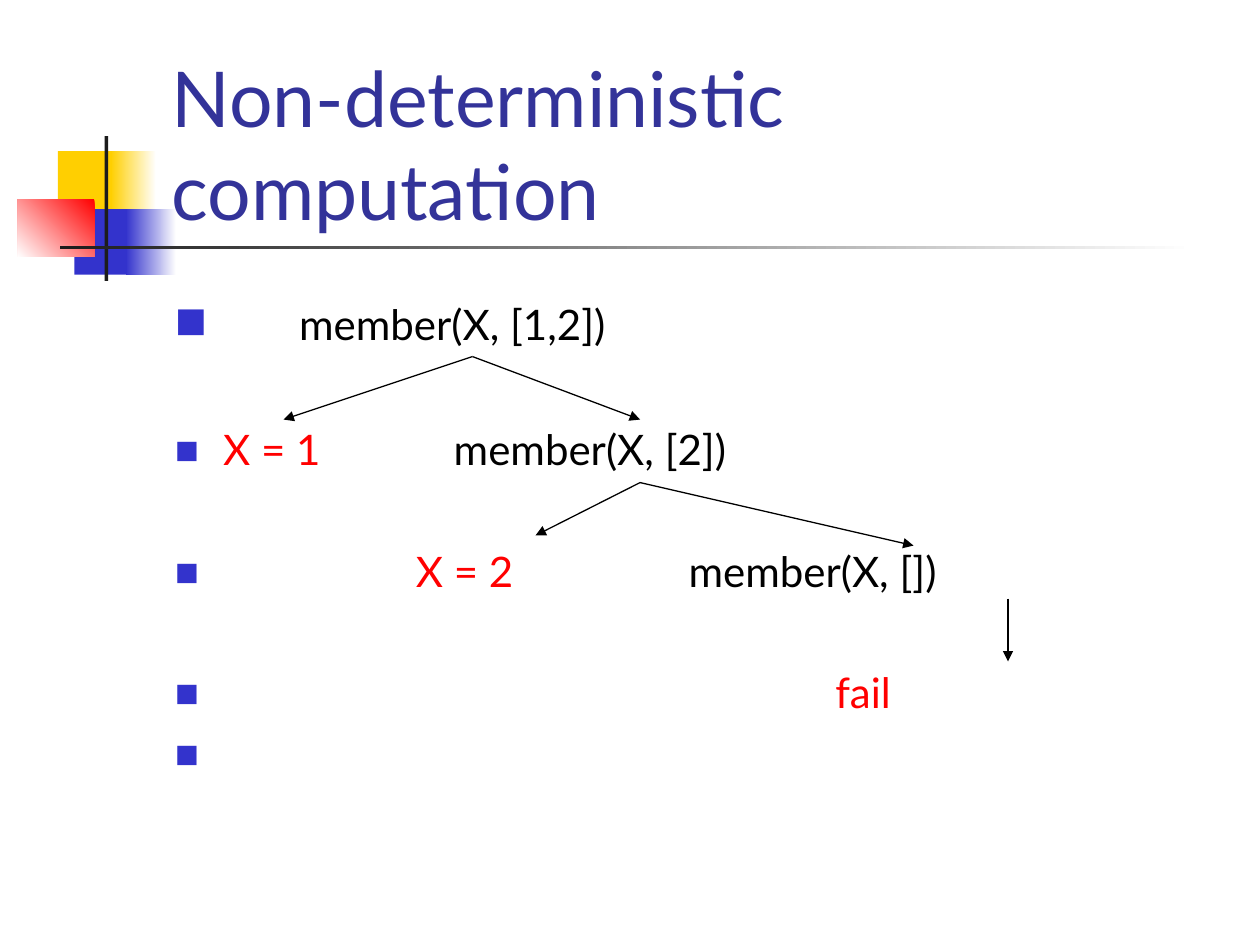
"""Builds a slide showing the search tree of a non-deterministic member query."""
from lxml import etree
from pptx import Presentation
from pptx import util as u
from pptx.dml.color import RGBColor
from pptx.enum import shapes, text
from pptx.oxml import ns

HUES = {"gold": "FFCF01", "blue": "3333CC", "red": "FF0000", "white": "FFFFFF",
        "dark": "1C1C1C", "navy": "333399", "black": "000000"}
FONT = "Lato"
TITLE = "Non-deterministic computation"

DECOR = [
    ((0.46, 1.2, 0.48, 0.52), ["gold"], 0),
    ((0.88, 1.2, 0.36, 0.52), ["white", "gold"], 180),
    ((0.59, 1.66, 0.46, 0.52), ["blue"], 0),
    ((1, 1.66, 0.4, 0.52), ["white", "blue"], 180),
    ((0.14, 1.58, 0.61, 0.46), ["red", "white"], 135),
    ((0.83, 1.08, 0.03, 1.15), ["dark"], 0),
    ((0.48, 1.95, 9, 0.03), ["white", "dark"], 180),
]

SIZE, PAD = 24, 6
SKIP = PAD + 1.2 * SIZE + PAD
ROWS = [
    (0.87, PAD, [(" ", "black", 32, 0), ("member(X, [1,2])", "black", SIZE, 0)]),
    (0.38, SKIP, [("X = 1", "red", SIZE, 0), (" ", "black", SIZE, 70),
                  ("member(X, [2])", "black", SIZE, 0)]),
    (1.91, SKIP, [("X = 2", "red", SIZE, 0), (" ", "black", SIZE, 94),
                  ("member(X, [])", "black", SIZE, 0)]),
    (5.24, SKIP, [("fail", "red", SIZE, 0)]),
    (0.38, PAD, [(" ", "black", SIZE, 0)]),
]

TREE = [
    ((3.75, 2.83), [(2.25, 3.33), (5.08, 3.33)]),
    ((5.08, 3.83), [(4.25, 4.25), (7.25, 4.33)]),
    ((8, 4.75), [(8, 5.25)]),
]


def hue(name):
    return RGBColor.from_string(HUES[name])


def add(node, tag, **vals):
    return etree.SubElement(node, ns.qn(tag), vals)


def place(shape, box):
    for key, val in zip(("left", "top", "width", "height"), box):
        setattr(shape, key, u.Inches(val))


def style(font, size, name):
    for key, val in {"name": FONT, "size": u.Pt(size)}.items():
        setattr(font, key, val)
    font.color.rgb = hue(name)


def decorate(slide):
    for spot, (box, tones, turn) in enumerate(DECOR, 2):
        shape = slide.shapes.add_shape(shapes.MSO_SHAPE.RECTANGLE, *map(u.Inches, box))
        shape.shadow.inherit = False
        shape.line.fill.background()
        if len(tones) == 1:
            shape.fill.solid()
            shape.fill.fore_color.rgb = hue(tones[0])
        else:
            shape.fill.gradient()
            shape.fill.gradient_angle = 360 - turn
            for stop, tone, pos in zip(shape.fill.gradient_stops, tones, (0, 1)):
                stop.color.rgb = hue(tone)
                stop.position = pos
        slide.shapes._spTree.insert(spot, shape._element)


def head(slide):
    title = slide.shapes.title
    place(title, (1.26, 0.67, 8.52, 1.25))
    frame = title.text_frame
    frame.text = TITLE
    for key, val in {"vertical_anchor": text.MSO_ANCHOR.BOTTOM, "word_wrap": True,
                     "auto_size": text.MSO_AUTO_SIZE.NONE}.items():
        setattr(frame, key, val)
    para = frame.paragraphs[0]
    para.alignment = text.PP_ALIGN.LEFT
    style(para.runs[0].font, 44, "navy")


def bullet(para, left, gap):
    para.space_before = u.Pt(gap)
    props = para._p.get_or_add_pPr()
    props.set("marL", str(u.Inches(left)))
    props.set("indent", str(-u.Inches(left)))
    add(add(props, "a:buClr"), "a:srgbClr", val=HUES["blue"])
    add(props, "a:buSzPct", val="60000")
    add(props, "a:buFont", typeface=FONT)
    add(props, "a:buChar", char="■")


def write(slide):
    body = slide.placeholders[1]
    place(body, (1.29, 2.21, 8.5, 4.5))
    frame = body.text_frame
    frame.auto_size = text.MSO_AUTO_SIZE.NONE
    for num, (left, gap, runs) in enumerate(ROWS):
        para = frame.add_paragraph() if num else frame.paragraphs[0]
        bullet(para, left, gap)
        for words, tone, size, track in runs:
            run = para.add_run()
            run.text = words
            style(run.font, size, tone)
            if track:
                run._r.get_or_add_rPr().set("spc", str(track * 100))


def link(slide):
    for start, ends in TREE:
        for end in ends:
            arrow = slide.shapes.add_connector(
                shapes.MSO_CONNECTOR.STRAIGHT, *map(u.Inches, start + end))
            arrow.line.width = u.Pt(0.75)
            arrow.line.color.rgb = hue("black")
            add(arrow.line._get_or_add_ln(), "a:tailEnd", type="triangle")
            add(arrow._element.spPr, "a:effectLst")


def main():
    deck = Presentation()
    deck.slide_width, deck.slide_height = u.Inches(10), u.Inches(7.5)
    slide = deck.slides.add_slide(deck.slide_layouts[1])
    for draw in (decorate, head, write, link):
        draw(slide)
    deck.save("out.pptx")


if __name__ == "__main__":
    main()
